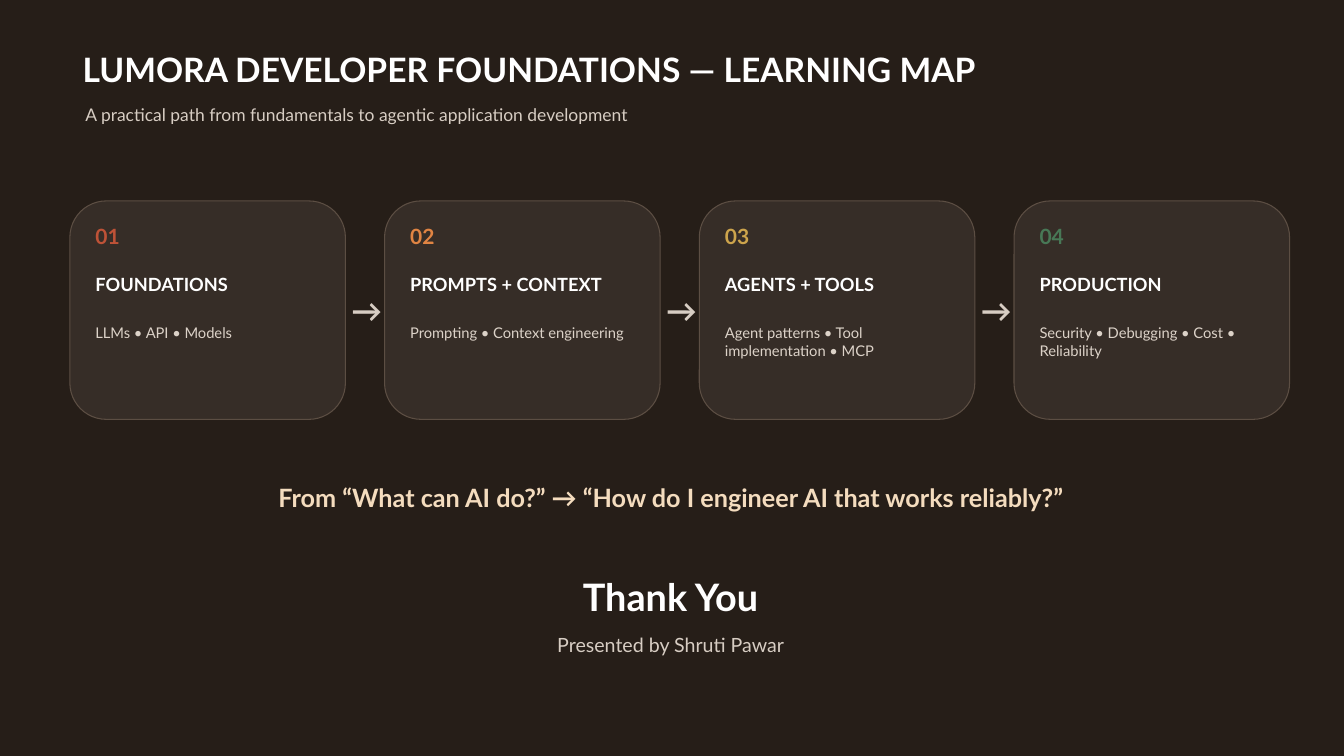
from pptx import Presentation
from pptx.dml.color import RGBColor
from pptx.enum.shapes import MSO_SHAPE
from pptx.enum.text import MSO_ANCHOR, MSO_AUTO_SIZE, PP_ALIGN
from pptx.util import Inches, Pt

COLORS = {
    "background": "261E18", "card": "362D27", "border": "5C4E43",
    "white": "FFFFFF", "muted": "D7CDC3", "topics": "DCD2C8", "message": "F4DCBE",
    "red": "BE5237", "orange": "E08443", "gold": "CDA44C", "green": "487856",
}
FONT = "Lato"
STAGES = [
    ("01", "red", "FOUNDATIONS", "LLMs • API • Models"),
    ("02", "orange", "PROMPTS + CONTEXT", "Prompting • Context engineering"),
    ("03", "gold", "AGENTS + TOOLS", "Agent patterns • Tool implementation • MCP"),
    ("04", "green", "PRODUCTION", "Security • Debugging • Cost • Reliability"),
]


def color(name):
    return RGBColor.from_string(COLORS[name])


def fill_text(shape, text, size, tint, bold=False, align=PP_ALIGN.LEFT):
    frame = shape.text_frame
    frame.margin_left = frame.margin_right = frame.margin_top = frame.margin_bottom = 0
    frame.word_wrap = True
    frame.auto_size = MSO_AUTO_SIZE.SHAPE_TO_FIT_TEXT
    frame.vertical_anchor = MSO_ANCHOR.TOP
    para = frame.paragraphs[0]
    para.alignment = align
    para.line_spacing = Pt(size * 1.2)
    para.space_before = Pt(0)
    span = para.add_run()
    span.text = text
    span.font.name = FONT
    span.font.size = Pt(size)
    span.font.bold = bold
    span.font.color.rgb = color(tint)


def add_text(page, left, top, width, height, *text_style, **options):
    box = page.shapes.add_textbox(Inches(left), Inches(top), Inches(width), Inches(height))
    fill_text(box, *text_style, **options)


def add_header(page, left, top, width):
    title = page.shapes.title
    title.left, title.top = Inches(left), Inches(top)
    title.width, title.height = Inches(width), Inches(0.73)
    fill_text(title, "LUMORA DEVELOPER FOUNDATIONS — LEARNING MAP", 36, "white", bold=True)
    add_text(page, left + 0.04, top + 0.82, width - 0.3, 0.5,
             "A practical path from fundamentals to agentic application development",
             18.75, "muted")


def add_card(page, left, top, width, height, stage):
    number, accent, heading, topics = stage
    card = page.shapes.add_shape(MSO_SHAPE.ROUNDED_RECTANGLE, Inches(left), Inches(top),
                                 Inches(width), Inches(height))
    card.adjustments[0] = 1 / 6
    card.shadow.inherit = False
    card.fill.solid()
    card.fill.fore_color.rgb = color("card")
    card.line.color.rgb = color("border")
    card.line.width = Pt(1.13)

    inner, text_width = left + 0.38, width - 0.85
    add_text(page, inner, top + 0.33, 0.63, 0.47, number, 22.5, accent, bold=True)
    add_text(page, inner, top + 1.08, text_width, 0.47, heading, 19.5, "white", bold=True)
    add_text(page, inner, top + 1.83, text_width, 0.95, topics, 15.75, "topics")


def add_learning_path(page, left, top, width, height):
    card_width = 4.1
    pitch = (width - card_width) / (len(STAGES) - 1)
    for index, stage in enumerate(STAGES):
        card_left = left + index * pitch
        add_card(page, card_left, top, card_width, height, stage)
        # Arrow in the gap before the next card
        if index < len(STAGES) - 1:
            add_text(page, card_left + card_width + 0.09, top + 1.35, 0.4, 0.49,
                     "→", 33, "muted", bold=True, align=PP_ALIGN.CENTER)


def add_closing(page, left, top, width):
    center = PP_ALIGN.CENTER
    add_text(page, left, top, width, 0.65,
             "From “What can AI do?” → “How do I engineer AI that works reliably?”",
             27, "message", bold=True, align=center)
    add_text(page, left + 0.3, top + 1.36, width - 0.6, 0.72,
             "Thank You", 40.5, "white", bold=True, align=center)
    add_text(page, left + 0.3, top + 2.24, width - 0.6, 0.44,
             "Presented by Shruti Pawar", 21, "muted", align=center)


def main():
    deck = Presentation()
    deck.slide_width, deck.slide_height = Inches(20), Inches(11.25)
    page = deck.slides.add_slide(deck.slide_layouts.get_by_name("Title Only"))
    page.background.fill.solid()
    page.background.fill.fore_color.rgb = color("background")

    add_header(page, 1.23, 0.73, 17.81)
    add_learning_path(page, 1.04, 2.99, 18.15, 3.25)
    add_closing(page, 1.6, 7.18, 16.76)
    deck.save("out.pptx")


if __name__ == "__main__":
    main()
